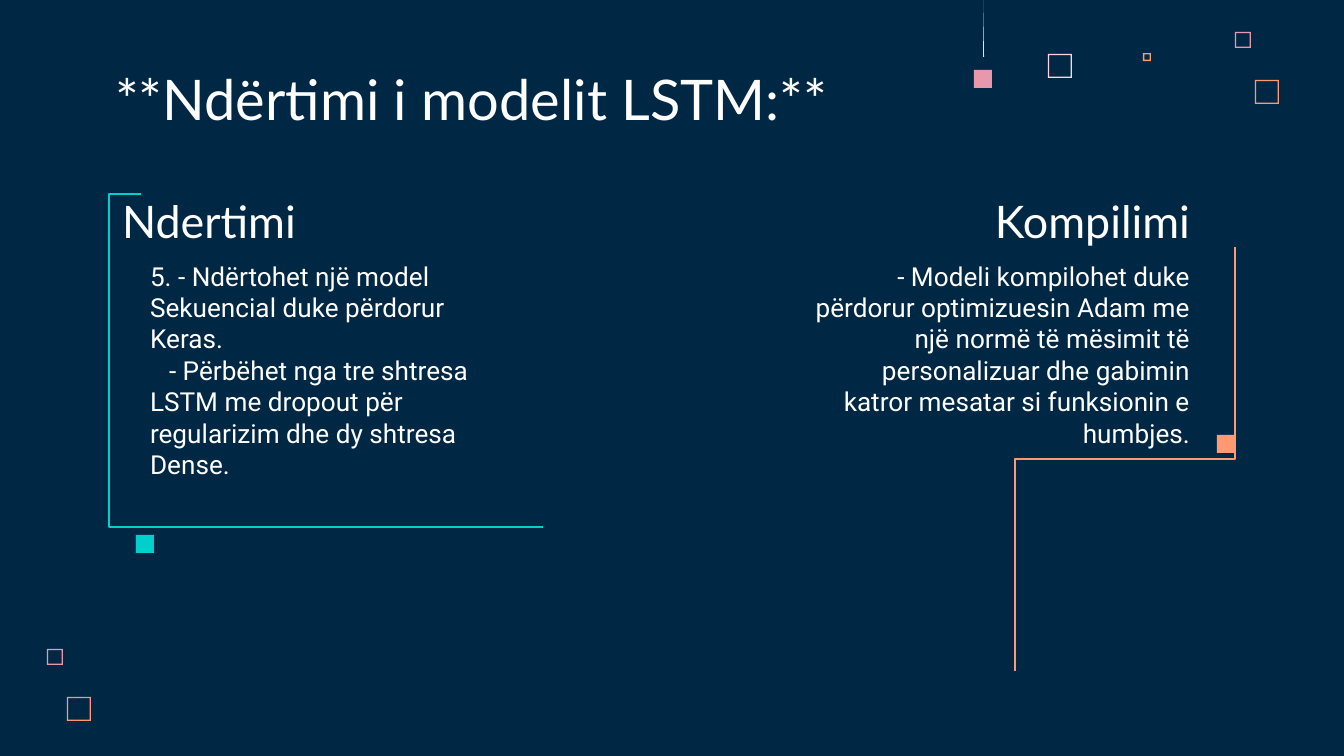
import pptx
import pptx.util
import pptx.dml.color
import pptx.enum.shapes
import pptx.enum.text
import pptx.oxml.ns
import lxml.etree

SCALE = 914400 / 134.4  # EMU in one px
SHAPE = pptx.enum.shapes.MSO_SHAPE
ALIGN = pptx.enum.text.PP_ALIGN
ANCHOR = pptx.enum.text.MSO_ANCHOR
QN = pptx.oxml.ns.qn

NAVY, WHITE, TEAL = "002845", "FFFFFF", "00CFCC"
PINK, PALE, PEACH = "E898AC", "FFD6E1", "FF9973"


def px(n):
    return pptx.util.Emu(round(n * SCALE))


def paint(form, tone):
    """Give a fill or line format a solid colour."""
    form.solid()
    form.fore_color.rgb = pptx.dml.color.RGBColor.from_string(tone)


class Page:
    head_font, body_font = "Lato", "Roboto"

    def __init__(self, slide):
        self.slide = slide
        self.shapes = slide.shapes
        paint(slide.background.fill, NAVY)

    def text(self, slot, box, lines, size, font, align=ALIGN.LEFT,
             anchor=ANCHOR.TOP, indents=()):
        """Move and format a placeholder; indents are first-line px."""
        holder = self.slide.placeholders[slot]
        holder.left, holder.top, holder.width, holder.height = map(px, box)
        frame = holder.text_frame
        frame.text = "\n".join(lines)
        frame.word_wrap = True
        frame.auto_size = pptx.enum.text.MSO_AUTO_SIZE.NONE
        frame.vertical_anchor = anchor
        frame.margin_left = frame.margin_right = px(13)
        frame.margin_top = frame.margin_bottom = px(13)
        for i, para in enumerate(frame.paragraphs):
            para.alignment = align
            para.space_before = para.space_after = pptx.util.Pt(0)
            props = para._p.get_or_add_pPr()
            props.set("marL", "0")
            props.set("indent", str(px(indents[i] if indents else 0)))
            lxml.etree.SubElement(props, QN("a:buNone"))
            for run in para.runs:
                run.font.name = font
                run.font.size = pptx.util.Pt(size)
                run.font.bold = False
                paint(run.font.fill, WHITE)

    def title(self, slot, box, words, size, align=ALIGN.LEFT):
        self.text(slot, box, [words], size, self.head_font, align,
                  ANCHOR.BOTTOM)

    def body(self, slot, box, lines, align=ALIGN.LEFT, indents=()):
        self.text(slot, box, lines, 14, self.body_font, align,
                  indents=indents)

    def finish(self, shape, tone):
        paint(shape.fill, tone)
        shape.line.fill.background()
        shape.shadow.inherit = False

    def square(self, x, y, tone, size=18, kind=SHAPE.RECTANGLE):
        shape = self.shapes.add_shape(kind, px(x), px(y), px(size), px(size))
        self.finish(shape, tone)
        return shape

    def ring(self, x, y, size, tone):
        """Hollow square with a thin rim."""
        shape = self.square(x, y, tone, size, SHAPE.FRAME)
        shape.adjustments[0] = 1.3 / size

    def needle(self, x, end, tone):
        """Sliver that widens downward from the top edge."""
        maker = self.shapes.build_freeform(x, 0, SCALE)
        maker.add_line_segments([(x, end), (x + 1, end)])
        self.finish(maker.convert_to_shape(), tone)

    def bend(self, start, end, tone, knee, turn=0):
        """Elbow line; knee is a share of its width, turn is in degrees."""
        line = self.shapes.add_connector(
            pptx.enum.shapes.MSO_CONNECTOR.ELBOW, *map(px, start + end))
        paint(line.line.fill, tone)
        line.line.width = pptx.util.Pt(0.75)
        props = line._element.spPr
        lxml.etree.SubElement(props, QN("a:effectLst"))
        props.find(QN("a:xfrm")).set("rot", str(turn * 60000))
        guides = props.find(QN("a:prstGeom")).find(QN("a:avLst"))
        guide = lxml.etree.SubElement(guides, QN("a:gd"))
        guide.set("name", "adj1")
        guide.set("fmla", f"val {round(knee * 100000)}")


def main():
    deck = pptx.Presentation()
    deck.slide_width, deck.slide_height = px(1344), px(756)
    page = Page(deck.slides.add_slide(deck.slide_layouts[4]))

    # Scattered squares in the corners
    page.ring(1048, 54, 24, PALE)
    page.ring(1143, 53, 8, PEACH)
    for x, y in [(1235, 32), (47, 649)]:
        page.ring(x, y, 16, PINK)
        page.ring(x + 20, y + 48, 24, PEACH)

    # Hanging square
    page.needle(983, 57, PALE)
    page.square(974, 70, PINK)

    # Title
    page.title(0, (102, 60, 894, 85), "**Ndërtimi i modelit LSTM:**", 30)

    # Left part: building the model
    page.title(1, (109, 157, 228, 104), "Ndertimi", 24)
    page.body(2, (137, 247, 386, 164), [
        "5. - Ndërtohet një model Sekuencial duke përdorur Keras.",
        "- Përbëhet nga tre shtresa LSTM me dropout për regularizim "
        "dhe dy shtresa Dense.",
    ], indents=(0, 19))
    page.bend((141, 194), (543, 527), TEAL, -0.08)
    page.square(136, 535, TEAL)

    # Right part: compiling the model
    page.title(3, (963, 176, 240, 85), "Kompilimi", 24, ALIGN.RIGHT)
    page.body(4, (801, 247, 402, 164), [
        "- Modeli kompilohet duke përdorur optimizuesin Adam me një normë "
        "të mësimit të personalizuar dhe gabimin katror mesatar si "
        "funksionin e humbjes.",
    ], ALIGN.RIGHT)
    page.bend((913, 349), (1337, 569), PEACH, 0.5, turn=90)
    page.square(1217, 435, PEACH)

    deck.save("out.pptx")


if __name__ == "__main__":
    main()
